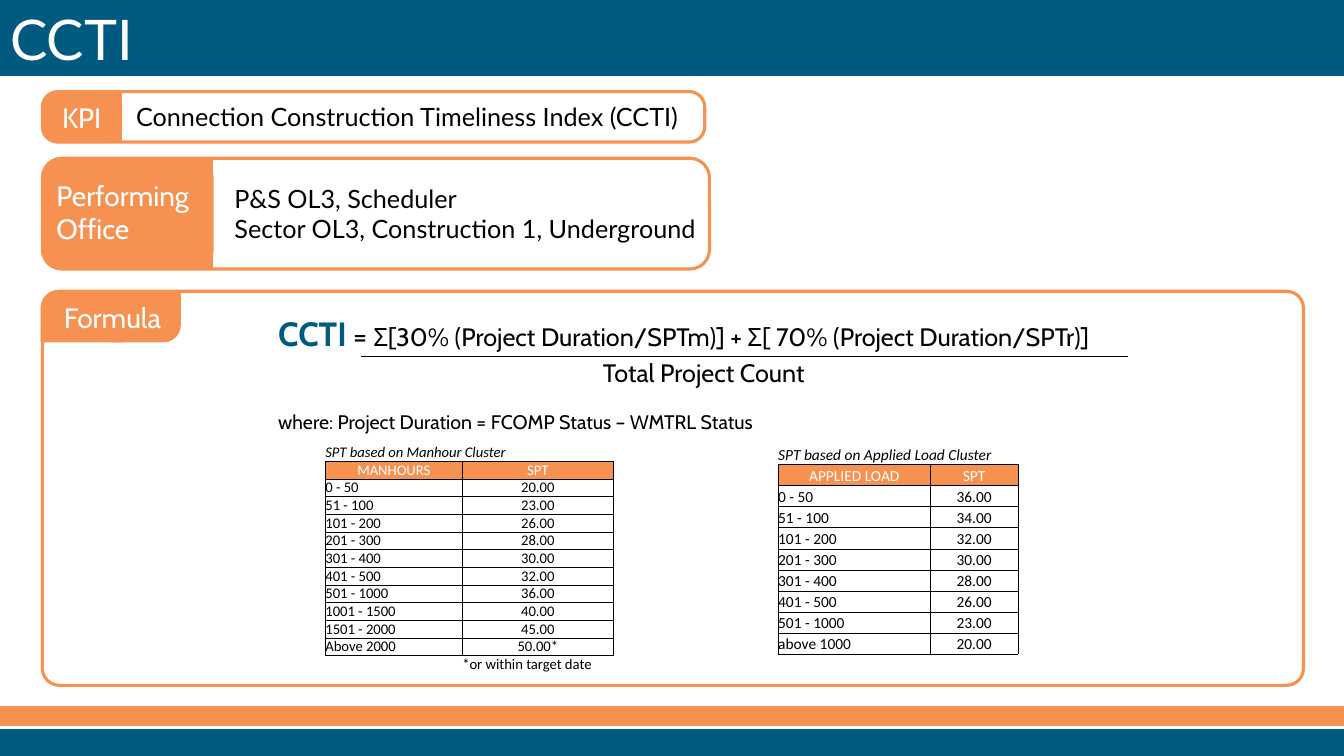
from lxml.etree import SubElement
from pptx import Presentation
from pptx.dml.color import RGBColor
from pptx.enum.shapes import MSO_CONNECTOR, MSO_SHAPE
from pptx.enum.text import MSO_ANCHOR, MSO_AUTO_SIZE, PP_ALIGN
from pptx.oxml.ns import qn
from pptx.util import Cm, Pt

BLUE = RGBColor(0x00, 0x59, 0x7F)
ORANGE = RGBColor(0xF7, 0x91, 0x51)
WHITE = RGBColor(0xFF, 0xFF, 0xFF)
BLACK = RGBColor(0x00, 0x00, 0x00)

PAGE_WIDTH, PAGE_HEIGHT = 33.87, 19.05
PANEL_LEFT = 1.07

MANHOUR_ROWS = [
    ("0 - 50", "20.00"), ("51 - 100", "23.00"), ("101 - 200", "26.00"),
    ("201 - 300", "28.00"), ("301 - 400", "30.00"), ("401 - 500", "32.00"),
    ("501 - 1000", "36.00"), ("1001 - 1500", "40.00"),
    ("1501 - 2000", "45.00"), ("Above 2000", "50.00*"),
]
LOAD_ROWS = [
    ("0 - 50", "36.00"), ("51 - 100", "34.00"), ("101 - 200", "32.00"),
    ("201 - 300", "30.00"), ("301 - 400", "28.00"), ("401 - 500", "26.00"),
    ("501 - 1000", "23.00"), ("above 1000", "20.00"),
]


def style_font(font, size, name, color=BLACK, bold=False, italic=False):
    font.size, font.name = Pt(size), name
    font.color.rgb = color
    font.bold, font.italic = bold, italic


def add_title(page, text):
    title = page.shapes.title
    title.left, title.top = Cm(0), Cm(0)
    title.width, title.height = Cm(PAGE_WIDTH), Cm(1.91)
    title.fill.solid()
    title.fill.fore_color.rgb = BLUE
    title.line.color.rgb = BLUE
    title.line.width = Pt(1)
    frame = title.text_frame
    frame.auto_size = MSO_AUTO_SIZE.NONE
    frame.vertical_anchor = MSO_ANCHOR.MIDDLE
    para = frame.paragraphs[0]
    para.text = text
    para.alignment = PP_ALIGN.LEFT
    style_font(para.font, 40, "Lato", WHITE)


def add_block(page, kind, place, fill=ORANGE, line=ORANGE, weight=1.0,
              corners=(), rotation=0):
    """Add a preset shape; place is left, top, width, height in cm."""
    block = page.shapes.add_shape(kind, *map(Cm, place))
    block.shadow.inherit = False
    block.rotation = rotation
    for index, corner in enumerate(corners):
        block.adjustments[index] = corner
    if fill is None:
        block.fill.background()
    else:
        block.fill.solid()
        block.fill.fore_color.rgb = fill
    block.line.color.rgb = line
    block.line.width = Pt(weight)


def add_panel(page, top, width, height, tab_width, tab_height, corner, tab_corner):
    """Add an outlined rounded panel with a filled tab at its top left."""
    rounded = MSO_SHAPE.ROUNDED_RECTANGLE
    add_block(page, rounded, (PANEL_LEFT, top, width, height), fill=None,
              weight=2.25, corners=[corner])
    add_block(page, rounded, (PANEL_LEFT, top, tab_width, tab_height),
              weight=1.5, corners=[tab_corner])


def add_text(page, place, lines, size, name, color=BLACK,
             align=PP_ALIGN.LEFT, wrap=True):
    box = page.shapes.add_textbox(*map(Cm, place))
    frame = box.text_frame
    frame.word_wrap = wrap
    for index, line in enumerate(lines):
        para = frame.add_paragraph() if index else frame.paragraphs[0]
        para.text = line
        para.alignment = align
        style_font(para.font, size, name, color)


def add_formula(page, place, parts):
    """Add one line of text from (text, size, colour, bold) parts."""
    frame = page.shapes.add_textbox(*map(Cm, place)).text_frame
    frame.word_wrap = False
    for text, size, color, bold in parts:
        span = frame.paragraphs[0].add_run()
        span.text = text
        style_font(span.font, size, "Cabin", color, bold)


def add_rule(page, left, right, top):
    rule = page.shapes.add_connector(
        MSO_CONNECTOR.STRAIGHT, Cm(left), Cm(top), Cm(right), Cm(top))
    rule.line.color.rgb = BLACK
    rule.line.width = Pt(0.5)
    SubElement(rule.element.spPr, qn("a:effectLst"))


def set_borders(cell, sides):
    properties = cell._tc.get_or_add_tcPr()
    for side in "LRTB":
        edge = SubElement(properties, qn(f"a:ln{side}"), w=str(Pt(0.5)))
        if side in sides:
            fill = SubElement(edge, qn("a:solidFill"))
            SubElement(fill, qn("a:srgbClr"), val=str(BLACK))
        else:
            SubElement(edge, qn("a:noFill"))


def fill_cell(cell, text, size, sides="LRTB", color=BLACK, fill=None,
              align=PP_ALIGN.LEFT, italic=False):
    set_borders(cell, sides)
    if fill is None:
        cell.fill.background()
    else:
        cell.fill.solid()
        cell.fill.fore_color.rgb = fill
    cell.margin_left = cell.margin_right = cell.margin_top = cell.margin_bottom = 0
    cell.vertical_anchor = MSO_ANCHOR.BOTTOM
    para = cell.text_frame.paragraphs[0]
    para.alignment = align
    style_font(para.font, size, "Calibri", color, italic=italic)
    if text:
        para.text = text
    else:
        SubElement(para._p, qn("a:endParaRPr"), sz=str(int(size * 100)))


def add_spt_table(page, left, widths, row_height, size, caption, heading, rows,
                  note=None):
    count = len(rows) + 2 + (note is not None)
    frame = page.shapes.add_table(
        count, 2, Cm(left), Cm(11.18), Cm(sum(widths)), Cm(row_height * count))
    table = frame.table
    table.first_row = table.horz_banding = False
    for column, width in zip(table.columns, widths):
        column.width = Cm(width)
    for row in table.rows:
        row.height = Cm(row_height)

    table.cell(0, 0).merge(table.cell(0, 1))
    fill_cell(table.cell(0, 0), caption, size, "B", italic=True)
    fill_cell(table.cell(0, 1), "", size, "B")
    for column, text in enumerate((heading, "SPT")):
        fill_cell(table.cell(1, column), text, size, color=WHITE, fill=ORANGE,
                  align=PP_ALIGN.CENTER)
    for index, (cluster, days) in enumerate(rows, start=2):
        fill_cell(table.cell(index, 0), cluster, size)
        fill_cell(table.cell(index, 1), days, size, align=PP_ALIGN.CENTER)
    if note is not None:
        for column, text in enumerate(("", note)):
            fill_cell(table.cell(count - 1, column), text, size, "T")


def main():
    deck = Presentation()
    deck.slide_width, deck.slide_height = Cm(PAGE_WIDTH), Cm(PAGE_HEIGHT)
    page = deck.slides.add_slide(deck.slide_layouts[5])
    add_title(page, "CCTI")
    add_block(page, MSO_SHAPE.RECTANGLE, (0, 18.39, PAGE_WIDTH, 0.66), BLUE, BLUE)
    add_block(page, MSO_SHAPE.RECTANGLE, (0, 17.81, PAGE_WIDTH, 0.48))

    tab_end = MSO_SHAPE.ROUND_2_SAME_RECTANGLE
    add_panel(page, 3.99, 16.81, 2.79, 4.29, 2.79, 0.175, 0.171)
    add_block(page, tab_end, (4.06, 4.01, 1.3, 2.77), corners=(0, 0), rotation=180)
    add_panel(page, 2.31, 16.69, 1.27, 1.98, 1.27, 0.303, 0.303)
    add_block(page, tab_end, (1.96, 2.31, 1.09, 1.22), corners=(0, 0), rotation=180)
    add_panel(page, 7.34, 31.78, 9.93, 2.95, 1.19, 0.043, 0.324)
    for left, rotation in ((2.46, 180), (1.04, 0)):
        add_block(page, tab_end, (left, 7.34, 2.08, 1.27), corners=(0.332, 0),
                  rotation=rotation)

    center = PP_ALIGN.CENTER
    add_text(page, (3.18, 2.44, 15.6, 1.02),
             ["Connection Construction Timeliness Index (CCTI)"], 18, "Lato")
    add_text(page, (1.07, 2.41, 1.98, 1.12), ["KPI"], 20, "Cabin", WHITE, center)
    add_text(page, (5.66, 4.5, 12.22, 1.8),
             ["P&S OL3, Scheduler", "Sector OL3, Construction 1, Underground"],
             18, "Lato")
    add_text(page, (1.17, 4.37, 4.62, 1.96), ["Performing Office"], 20, "Cabin", WHITE)
    add_text(page, (1.17, 7.44, 3.33, 1.12), ["Formula"], 20, "Cabin", WHITE, center)

    add_formula(page, (6.76, 7.75, 21.67, 1.27), [
        ("CCTI", 24, BLUE, True),
        (" = ", 20, BLACK, False),
        ("Σ[30% (Project Duration/SPTm)] + Σ[ 70% (Project Duration/SPTr)]",
         18, BLACK, False),
    ])
    add_rule(page, 9.09, 28.42, 8.97)
    add_text(page, (10.8, 8.89, 13.87, 1.02), ["Total Project Count"], 18, "Cabin",
             align=center)
    add_text(page, (6.76, 10.21, 13.28, 0.86),
             ["where: Project Duration = FCOMP Status – WMTRL Status"],
             14, "Cabin", wrap=False)

    add_spt_table(page, 19.61, (3.84, 2.2), 0.53, 11,
                  "SPT based on Applied Load Cluster", "APPLIED LOAD", LOAD_ROWS)
    add_spt_table(page, 8.2, (3.45, 3.81), 0.44, 10.5,
                  "SPT based on Manhour Cluster", "MANHOURS", MANHOUR_ROWS,
                  "*or within target date")
    deck.save("out.pptx")


if __name__ == "__main__":
    main()
